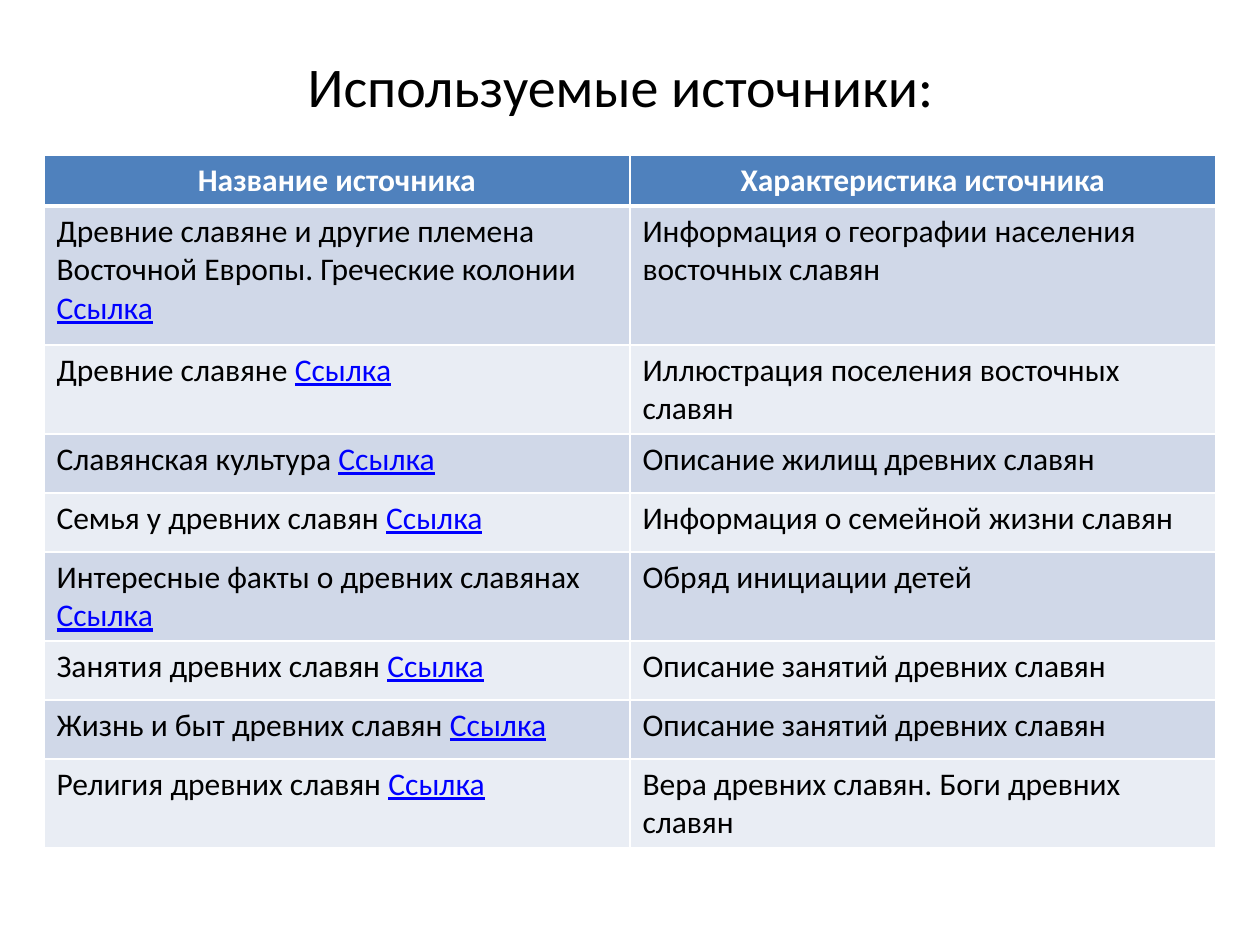
from lxml.etree import SubElement
from pptx import Presentation
from pptx.dml.color import RGBColor
from pptx.enum.text import MSO_ANCHOR, PP_ALIGN
from pptx.oxml.ns import qn
from pptx.util import Pt

PX = 914400 // 126
FONT = "Calibri"
COLORS = {
    "text": "000000",
    "link": "0000FF",
    "header": "4F81BD",
    "header_text": "FFFFFF",
    "border": "FFFFFF",
    "odd_row": "D0D8E8",
    "even_row": "E9EDF4",
}
HEADERS = ["Название источника", "Характеристика источника"]
LINK = "Ссылка"
# A name ending in a line break puts its link in a paragraph of its own.
SOURCES = [
    ("Древние славяне и другие племена Восточной Европы. Греческие колонии\n",
     "Информация о географии населения восточных славян"),
    ("Древние славяне ", "Иллюстрация поселения восточных славян"),
    ("Славянская культура ", "Описание жилищ древних славян"),
    ("Семья у древних славян ", "Информация о семейной жизни славян"),
    ("Интересные факты о древних славянах ", "Обряд инициации детей"),
    ("Занятия древних славян ", "Описание занятий древних славян"),
    ("Жизнь и быт древних славян ", "Описание занятий древних славян"),
    ("Религия древних славян ", "Вера древних славян. Боги древних славян"),
]
ROW_HEIGHTS = [51, 139, 89, 59, 59, 89, 59, 59, 89]


def color(name):
    return RGBColor.from_string(COLORS[name])


def style_paragraph(paragraph, size, color_name, bold=False, align=PP_ALIGN.LEFT):
    paragraph.alignment = align
    font = paragraph.font
    font.name, font.size, font.bold = FONT, Pt(size), bold
    font.color.rgb = color(color_name)


def add_title(slide, left, top, width, height):
    box = slide.shapes.add_textbox(left * PX, top * PX, width * PX, height * PX)
    frame = box.text_frame
    frame.word_wrap = True
    frame.vertical_anchor = MSO_ANCHOR.MIDDLE
    frame.text = "Используемые источники:"
    style_paragraph(frame.paragraphs[0], 32, "text", align=PP_ALIGN.CENTER)


def style_cell(cell, fill, bottom_width=1):
    """Set the fill and the four borders; borders precede the fill in the XML."""
    properties = cell._tc.get_or_add_tcPr()
    for side, width in (("L", 1), ("R", 1), ("T", 1), ("B", bottom_width)):
        line = SubElement(properties, qn(f"a:ln{side}"), w=str(Pt(width)))
        solid = SubElement(line, qn("a:solidFill"))
        SubElement(solid, qn("a:srgbClr"), val=COLORS["border"])
    cell.fill.solid()
    cell.fill.fore_color.rgb = color(fill)


def add_link_text(paragraph):
    run = paragraph.add_run()
    run.text = LINK
    run.font.underline = True
    run.font.color.rgb = color("link")


def add_sources_table(slide, left, top, width):
    height = sum(ROW_HEIGHTS)
    table = slide.shapes.add_table(
        len(ROW_HEIGHTS), len(HEADERS), left * PX, top * PX, width * PX, height * PX
    ).table
    for row, row_height in zip(table.rows, ROW_HEIGHTS):
        row.height = row_height * PX

    for column, header in enumerate(HEADERS):
        cell = table.cell(0, column)
        style_cell(cell, "header", bottom_width=3)
        cell.text = header
        style_paragraph(cell.text_frame.paragraphs[0], 18, "header_text",
                        bold=True, align=PP_ALIGN.CENTER)

    for row, source in enumerate(SOURCES, start=1):
        for column, text in enumerate(source):
            cell = table.cell(row, column)
            style_cell(cell, "odd_row" if row % 2 else "even_row")
            cell.text = text
            paragraphs = cell.text_frame.paragraphs
            for paragraph in paragraphs:
                style_paragraph(paragraph, 18, "text")
            if column == 0:
                add_link_text(paragraphs[-1])


def main():
    presentation = Presentation()
    presentation.slide_width = 1260 * PX
    presentation.slide_height = 945 * PX
    slide = presentation.slides.add_slide(presentation.slide_layouts[6])
    add_title(slide, 54, 45, 1134, 81)
    add_sources_table(slide, 44, 155, 1172)
    presentation.save("out.pptx")


if __name__ == "__main__":
    main()
